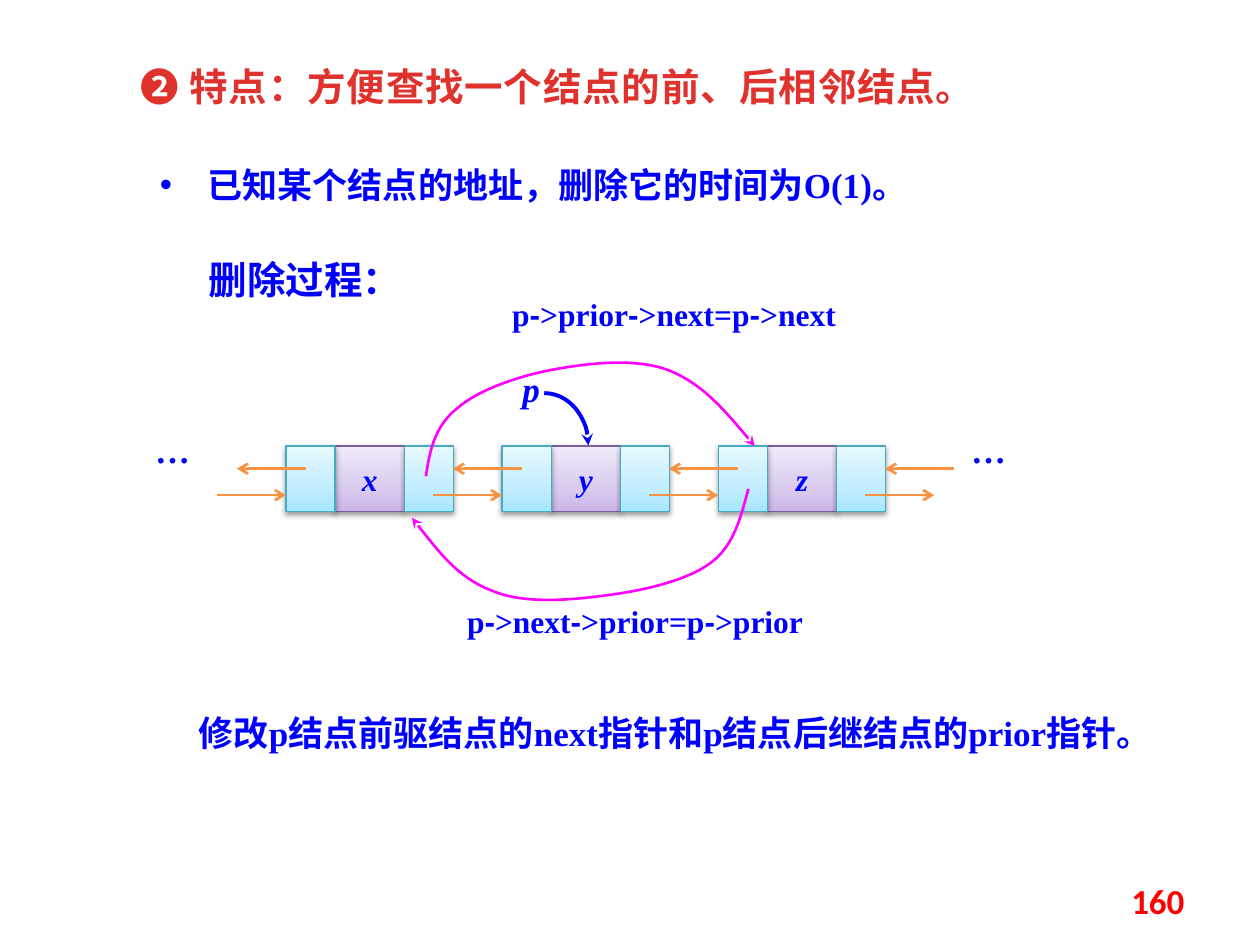
from copy import deepcopy

from lxml.etree import SubElement
from pptx import Presentation
from pptx.dml.color import RGBColor
from pptx.enum.shapes import MSO_CONNECTOR, MSO_SHAPE
from pptx.enum.text import MSO_ANCHOR as Anchor, PP_ALIGN as Align
from pptx.oxml.ns import qn
from pptx.util import Inches, Pt

BLUE = RGBColor(0x00, 0x00, 0xFF)
RED = RGBColor(0xFF, 0x00, 0x00)
MAGENTA = RGBColor(0xFF, 0x00, 0xFF)
ORANGE = RGBColor(0xF6, 0x92, 0x40)
PURPLE_EDGE = RGBColor(0x7D, 0x60, 0xA0)
CYAN_EDGE = RGBColor(0x46, 0xAA, 0xC5)
TITLE_STOPS = [(0.25, RGBColor(0xE0, 0x32, 0x2D)), (1, RGBColor(0xA2, 0x20, 0x1C))]
PURPLE_STOPS = [(0, RGBColor(0xC9, 0xB5, 0xE8)), (0.35, RGBColor(0xD8, 0xCB, 0xEE)),
                (1, RGBColor(0xF0, 0xEA, 0xF9))]
CYAN_STOPS = [(0, RGBColor(0xA7, 0xE6, 0xFF)), (0.35, RGBColor(0xC1, 0xED, 0xFF)),
              (1, RGBColor(0xE7, 0xF8, 0xFF))]

SERIF, SANS, CJK = "Times New Roman", "Arial", "Noto Sans CJK SC"
NODE_LEFT, NODE_TOP, NODE_HEIGHT, PITCH = 2.27, 3.54, 0.52, 1.715
LINK_WIDTH, DATA_WIDTH, ARROW = 0.39, 0.55, 0.55
NEXT_CURVE = [(3.38, 3.78), (3.41, 3.58), (3.45, 3.38), (3.63, 3.24), (3.8, 3.09),
              (4.13, 2.98), (4.41, 2.93), (4.69, 2.88), (5.05, 2.84), (5.31, 2.94),
              (5.58, 3.05), (5.78, 3.29), (5.99, 3.54)]
PRIOR_CURVE = [(5.94, 3.88), (5.88, 4.1), (5.83, 4.32), (5.65, 4.46), (5.47, 4.6),
               (5.14, 4.68), (4.85, 4.72), (4.56, 4.76), (4.17, 4.8), (3.91, 4.69),
               (3.64, 4.59), (3.46, 4.35), (3.27, 4.11)]


def apply_gradient(fill, holder, stops, angle):
    """Fill with a linear gradient of any number of stops."""
    fill.gradient()
    fill.gradient_angle = angle
    stop_list = next(holder.iter(qn("a:gsLst")))
    while len(stop_list) < len(stops):
        stop_list.append(deepcopy(stop_list[-1]))
    for stop, (position, color) in zip(fill.gradient_stops, stops):
        stop.position = position
        stop.color.rgb = color


def add_run(paragraph, words, color=BLUE, **formats):
    """Add a run in bold serif type unless told otherwise."""
    run = paragraph.add_run()
    run.text = words
    for name, value in {"name": SERIF, "size": Pt(20), "bold": True, **formats}.items():
        setattr(run.font, name, value)
    run.font.color.rgb = color
    SubElement(run._r.get_or_add_rPr(), qn("a:ea"), typeface=CJK)
    return run


def add_label(slide, area, words="", align=Align.LEFT, anchor=Anchor.TOP, inset=None, **formats):
    """Add a wrapping text box and return its paragraph."""
    frame = slide.shapes.add_textbox(*map(Inches, area)).text_frame
    frame.word_wrap = True
    frame.vertical_anchor = anchor
    if inset is not None:
        for side in ("left", "top", "right", "bottom"):
            setattr(frame, f"margin_{side}", inset)
    paragraph = frame.paragraphs[0]
    paragraph.alignment = align
    if words:
        add_run(paragraph, words, **formats)
    return paragraph


def add_title(slide, words):
    """Add the heading in gradient type."""
    run = add_run(add_label(slide, (1.02, 0.45, 7.03, 0.51)), words, size=Pt(22))
    apply_gradient(run.font.fill, run._r, TITLE_STOPS, 270)
    run._r.get_or_add_rPr().set("spc", "50")


def add_bullet(slide, area, words):
    """Add a bulleted statement with a hanging indent."""
    paragraph = add_label(slide, area)
    properties = paragraph._p.get_or_add_pPr()
    properties.set("marL", str(Inches(0.38)))
    properties.set("indent", str(Inches(-0.38)))
    SubElement(properties, qn("a:buFont"), typeface=SANS)
    SubElement(properties, qn("a:buChar"), char="•")
    add_run(paragraph, words)


def add_statement(slide, area, code):
    """Add a centred line of code whose hyphens are sans serif."""
    paragraph = add_label(slide, area, align=Align.CENTER)
    for index, part in enumerate(code.split("-")):
        if index:
            add_run(paragraph, "-", name=SANS, size=Pt(18))
        add_run(paragraph, part, size=Pt(18))


def add_cell(slide, left, width, stops, edge, letter=""):
    """Add one shaded field of a node."""
    cell = slide.shapes.add_shape(MSO_SHAPE.RECTANGLE, *map(Inches, (left, NODE_TOP, width, NODE_HEIGHT)))
    apply_gradient(cell.fill, cell._element.spPr, stops, 90)
    cell.line.color.rgb = edge
    cell.line.width = Pt(0.75)
    effects = SubElement(cell._element.spPr, qn("a:effectLst"))
    shadow = SubElement(effects, qn("a:outerShdw"), blurRad="40000", dist="20000",
                        dir="5400000", rotWithShape="0")
    SubElement(SubElement(shadow, qn("a:srgbClr"), val="000000"), qn("a:alpha"), val="38000")
    cell.text_frame.vertical_anchor = Anchor.MIDDLE
    if letter:
        paragraph = cell.text_frame.paragraphs[0]
        paragraph.alignment = Align.CENTER
        add_run(paragraph, letter, size=Pt(18), italic=True)


def add_node(slide, left, letter):
    """Add a list node: data between its prior and next fields."""
    data_left = left + LINK_WIDTH
    add_cell(slide, data_left, DATA_WIDTH, PURPLE_STOPS, PURPLE_EDGE, letter)
    for link_left in (data_left + DATA_WIDTH, left):
        add_cell(slide, link_left, LINK_WIDTH, CYAN_STOPS, CYAN_EDGE)


def style_arrow(stroke, color, width, head):
    """Colour a line and give its end an arrowhead."""
    stroke.line.color.rgb = color
    stroke.line.width = Pt(width)
    SubElement(stroke.line._get_or_add_ln(), qn("a:tailEnd"), type=head)
    SubElement(stroke._element.spPr, qn("a:effectLst"))


def add_pointer(slide, start, end, y):
    """Add a straight horizontal pointer."""
    pointer = slide.shapes.add_connector(MSO_CONNECTOR.STRAIGHT, *map(Inches, (start, y, end, y)))
    style_arrow(pointer, ORANGE, 1.5, "arrow")


def add_curve(slide, points):
    """Add a smooth pointer from a start and triples of Bezier points."""
    start, *rest = [tuple(map(Inches, point)) for point in points]
    builder = slide.shapes.build_freeform(*start)
    builder.add_line_segments(rest, close=False)
    curve = builder.convert_to_shape()
    outline = next(curve._element.iter(qn("a:path")))
    for index, segment in enumerate(outline.findall(qn("a:lnTo"))):
        if index % 3 == 0:
            bend = SubElement(outline, qn("a:cubicBezTo"))
        bend.append(segment[0])
        outline.remove(segment)
    curve.fill.background()
    style_arrow(curve, MAGENTA, 1.5, "stealth")


def add_arc(slide, area):
    """Add the quarter arc leading from p to its node."""
    arc = slide.shapes.add_shape(MSO_SHAPE.ARC, *map(Inches, area))
    arc.fill.background()
    style_arrow(arc, BLUE, 2.25, "stealth")


def main():
    """Build the slide on deleting from a doubly linked list."""
    deck = Presentation()
    deck.slide_width, deck.slide_height = Inches(10), Inches(7.5)
    slide = deck.slides.add_slide(deck.slide_layouts[6])

    add_title(slide, "❷ 特点：方便查找一个结点的前、后相邻结点。")
    add_bullet(slide, (1.17, 1.25, 6.25, 0.47), "已知某个结点的地址，删除它的时间为O(1)。")
    add_label(slide, (1.56, 1.98, 1.88, 0.47), "删除过程：", size=Pt(22))

    for column, letter in enumerate("xyz"):
        add_node(slide, NODE_LEFT + column * PITCH, letter)
    for gap in range(4):
        node_left = NODE_LEFT + gap * PITCH
        add_pointer(slide, node_left - ARROW, node_left, 3.93)
        add_pointer(slide, node_left + 0.16, node_left + 0.16 - ARROW, 3.72)
    for left in (7.5, 1.02):
        add_label(slide, (left, 3.44, 0.7, 0.55), "…", align=Align.CENTER, name=CJK)

    add_arc(slide, (3.97, 3.12, 0.7, 0.83))
    add_label(slide, (4.06, 2.92, 0.31, 0.37), "p", align=Align.CENTER, inset=0, italic=True)
    for points in (NEXT_CURVE, PRIOR_CURVE):
        add_curve(slide, points)
    add_statement(slide, (3.75, 2.29, 3.2, 0.43), "p->prior->next=p->next")
    add_statement(slide, (3.44, 4.73, 3.2, 0.43), "p->next->prior=p->prior")

    add_label(slide, (1.48, 5.6, 7.5, 0.47), "修改p结点前驱结点的next指针和p结点后继结点的prior指针。")
    add_label(slide, (7.17, 6.95, 2.33, 0.4), "160", align=Align.RIGHT, anchor=Anchor.MIDDLE,
              name="Calibri", color=RED)
    deck.save("out.pptx")


if __name__ == "__main__":
    main()
